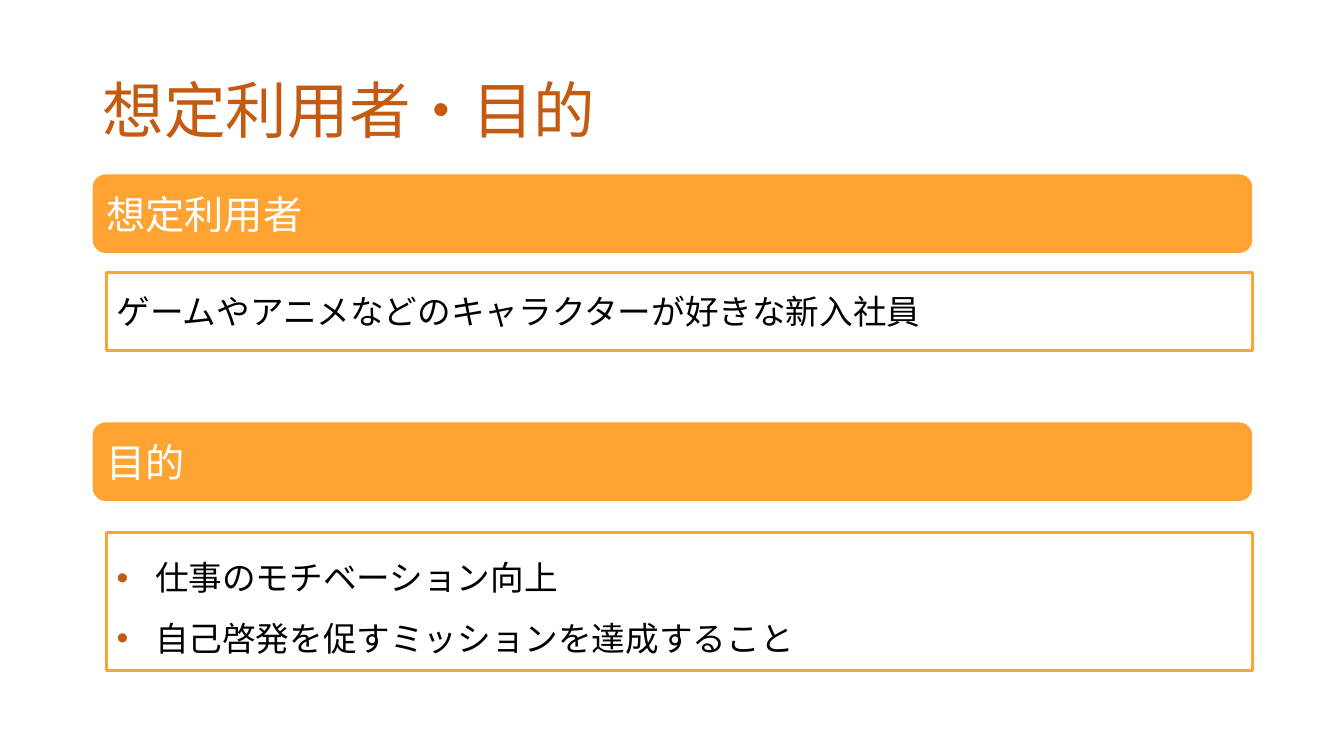
from lxml.etree import SubElement
from pptx import Presentation
from pptx.dml.color import RGBColor
from pptx.enum.shapes import MSO_SHAPE
from pptx.enum.text import MSO_ANCHOR, PP_ALIGN
from pptx.oxml.ns import qn
from pptx.util import Inches, Pt

ORANGE = RGBColor(0xFF, 0xA3, 0x33)
RUST = RGBColor(0xC5, 0x5A, 0x11)
WHITE = RGBColor(0xFF, 0xFF, 0xFF)
BLACK = RGBColor(0x00, 0x00, 0x00)
FONT = "Noto Sans CJK JP"

SLIDE_WIDTH, SLIDE_HEIGHT = 13.33, 7.5
MARGIN = 0.92
CONTENT_WIDTH = 11.5
BAR_HEIGHT = 0.78
FRAME_INDENT = 0.14
BULLET_INDENT = 0.38


def write(frame, lines, size, color, anchor=MSO_ANCHOR.TOP, spacing=None, bulleted=False):
    frame.word_wrap = True
    frame.vertical_anchor = anchor
    for index, line in enumerate(lines):
        paragraph = frame.add_paragraph() if index else frame.paragraphs[0]
        paragraph.alignment = PP_ALIGN.LEFT
        if spacing:
            paragraph.line_spacing = spacing
        if bulleted:
            add_bullet(paragraph)
        run = paragraph.add_run()
        run.text = line
        run.font.size = Pt(size)
        run.font.color.rgb = color
        run.font.name = FONT
        SubElement(run.font._element, qn("a:ea"), typeface=FONT)


def add_bullet(paragraph):
    properties = paragraph._p.get_or_add_pPr()
    properties.set("marL", str(Inches(BULLET_INDENT)))
    properties.set("indent", str(-Inches(BULLET_INDENT)))
    bullet_color = SubElement(properties, qn("a:buClr"))
    SubElement(bullet_color, qn("a:srgbClr"), val=str(RUST))
    SubElement(properties, qn("a:buFont"), typeface="Arial")
    SubElement(properties, qn("a:buChar"), char="•")


def add_text(slide, box, lines, size, color, **layout):
    textbox = slide.shapes.add_textbox(*map(Inches, box))
    write(textbox.text_frame, lines, size, color, **layout)


def add_panel(slide, kind, box):
    panel = slide.shapes.add_shape(kind, *map(Inches, box))
    panel.shadow.inherit = False
    return panel


def add_section(slide, top, heading, gap, frame_height, lines, **layout):
    """Place a heading bar at top and, gap below it, a framed body."""
    bar = add_panel(slide, MSO_SHAPE.ROUNDED_RECTANGLE,
                    (MARGIN, top, CONTENT_WIDTH, BAR_HEIGHT))
    bar.fill.solid()
    bar.fill.fore_color.rgb = ORANGE
    bar.line.fill.background()
    write(bar.text_frame, [heading], 28, WHITE, anchor=MSO_ANCHOR.MIDDLE)

    body = (MARGIN + FRAME_INDENT, top + BAR_HEIGHT + gap,
            CONTENT_WIDTH - FRAME_INDENT, frame_height)
    frame = add_panel(slide, MSO_SHAPE.RECTANGLE, body)
    frame.fill.background()
    frame.line.color.rgb = ORANGE
    frame.line.width = Pt(2.25)
    add_text(slide, body, lines, 24, BLACK, **layout)


def add_title(slide, title):
    add_text(slide, (MARGIN, 0.4, CONTENT_WIDTH, 1.45), [title], 44, RUST,
             anchor=MSO_ANCHOR.MIDDLE, spacing=0.9)


def main():
    presentation = Presentation()
    presentation.slide_width = Inches(SLIDE_WIDTH)
    presentation.slide_height = Inches(SLIDE_HEIGHT)
    slide = presentation.slides.add_slide(presentation.slide_layouts[6])

    add_title(slide, "想定利用者・目的")
    add_section(slide, 1.73, "想定利用者", 0.19, BAR_HEIGHT,
                ["ゲームやアニメなどのキャラクターが好きな新入社員"],
                anchor=MSO_ANCHOR.MIDDLE)
    add_section(slide, 4.19, "目的", 0.31, 1.37,
                ["仕事のモチベーション向上", "自己啓発を促すミッションを達成すること"],
                spacing=1.5, bulleted=True)
    presentation.save("out.pptx")


if __name__ == "__main__":
    main()
